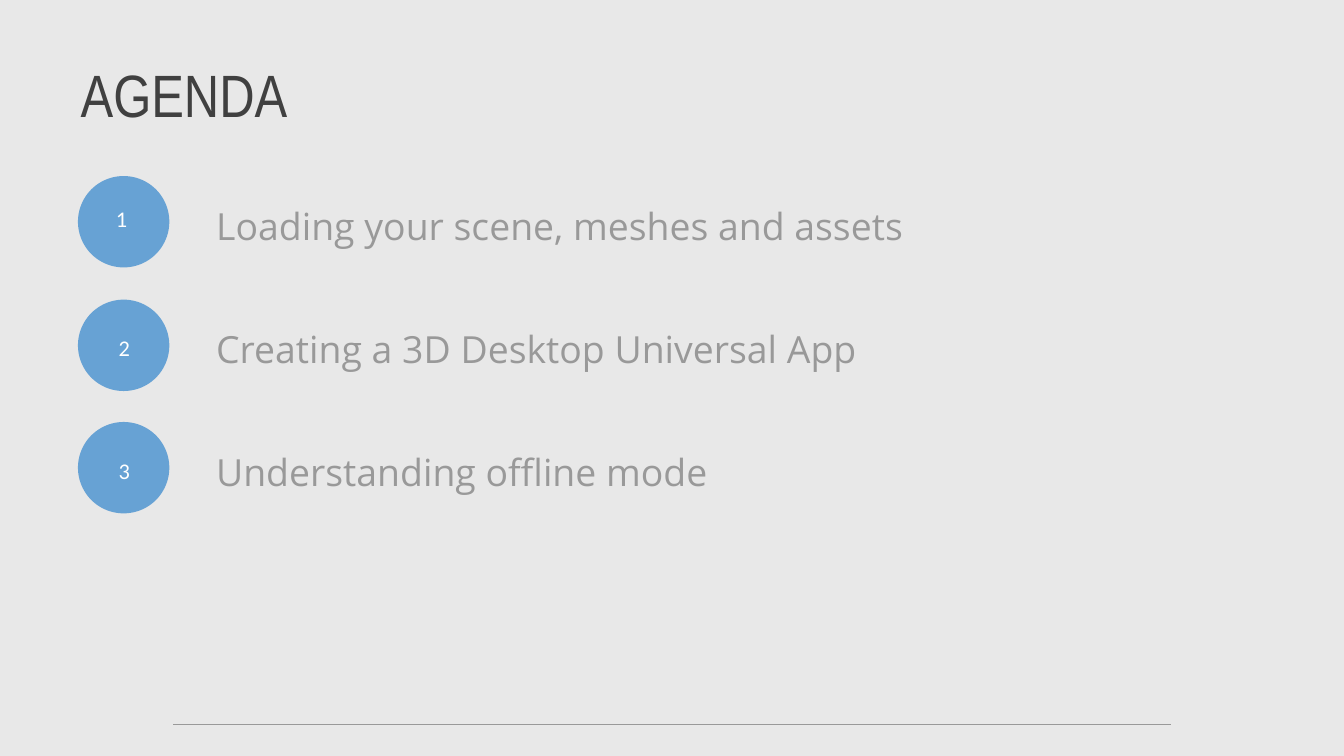
from pptx import Presentation
from pptx.dml.color import RGBColor
from pptx.enum.shapes import MSO_SHAPE as Shape, MSO_CONNECTOR as Line
from pptx.enum.text import MSO_ANCHOR as Anchor, PP_ALIGN as Align
from pptx.oxml.ns import qn
from pptx.util import Inches, Pt
from lxml.etree import SubElement

BACK = RGBColor(0xE8, 0xE8, 0xE8)
BLUE = RGBColor(0x47, 0x91, 0xD0)
DARK = RGBColor(0x40, 0x40, 0x40)
GREY = RGBColor(0x99, 0x99, 0x99)
WHITE = RGBColor(0xFF, 0xFF, 0xFF)

HEAD = {"name": "Arial Narrow", "size": Pt(32), "color": DARK}
ITEM = {"name": "Open Sans", "size": Pt(20), "color": GREY}
DIGIT = {"name": "Calibri", "size": Pt(12), "color": WHITE}


def write(frame, text, style, align=Align.LEFT):
    para = frame.paragraphs[0]
    para.alignment = align
    run = para.add_run()
    run.text = text
    for key, value in style.items():
        if key == "color":
            run.font.color.rgb = value
        else:
            setattr(run.font, key, value)


def label(box, text, style, align=Align.LEFT):
    frame = slide.shapes.add_textbox(*map(Inches, box)).text_frame
    frame.word_wrap = True
    write(frame, text, style, align)


deck = Presentation()
deck.slide_width = Inches(10)
deck.slide_height = deck.slide_width * 9 // 16
slide = deck.slides.add_slide(deck.slide_layouts[5])
slide.background.fill.solid()
slide.background.fill.fore_color.rgb = BACK

title = slide.shapes.title
place = {"left": 0.5, "top": 0.23, "width": 9, "height": 0.94}
for key, value in place.items():
    setattr(title, key, Inches(value))
title.text_frame.vertical_anchor = Anchor.MIDDLE
write(title.text_frame, "AGENDA", HEAD)

rule = slide.shapes.add_connector(
    Line.STRAIGHT, Inches(1.29), Inches(5.39), Inches(8.71), Inches(5.39))
rule.line.color.rgb = GREY
rule.line.width = Pt(0.75)
SubElement(rule._element.spPr, qn("a:effectLst"))

topics = [
    ("Loading your scene, meshes and assets", 1.31, 0.67, 0.17, 7.41),
    ("Creating a 3D Desktop Universal App", 2.23, 0.69, 0.21, 7),
    ("Understanding offline mode", 3.14, 0.69, 0.21, 7),
]
for count, (topic, top, left, drop, width) in enumerate(topics, 1):
    disc = slide.shapes.add_shape(
        Shape.OVAL, Inches(0.58), Inches(top), Inches(0.68), Inches(0.68))
    disc.shadow.inherit = False
    disc.line.fill.background()
    disc.fill.solid()
    disc.fill.fore_color.rgb = BLUE
    tint = disc._element.spPr.find(qn("a:solidFill"))[0]
    SubElement(tint, qn("a:alpha"), val="80000")
    label((left, top + drop, 0.47, 0.3), str(count), DIGIT, Align.CENTER)
    label((1.51, top + 0.15, width, 0.44), topic, ITEM)

deck.save("out.pptx")
